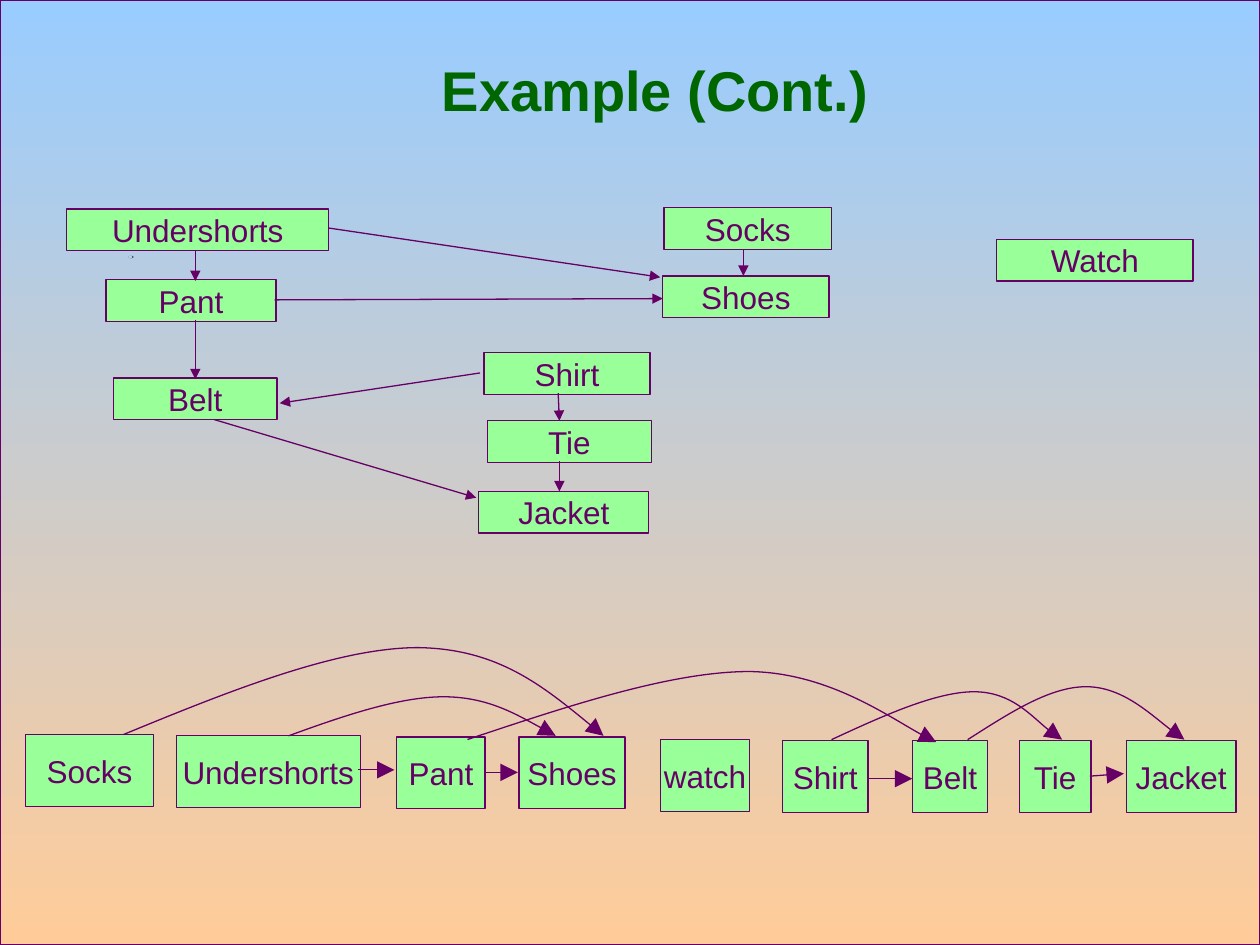
import pptx
import pptx.util
import pptx.dml.color
import pptx.enum.shapes
import pptx.enum.text
import pptx.oxml
import pptx.oxml.ns

Inches = pptx.util.Inches
SHAPES = pptx.enum.shapes.MSO_SHAPE
PURPLE, GREEN = "660066", "99FF99"
BOX_TEXT = {"name": "Arial", "size": pptx.util.Pt(18), "bold": False}
TITLE_TEXT = {"name": "Arial", "size": pptx.util.Pt(32), "bold": True}


def paint(target, color):
    """Give a fill, or the fill of a line, one solid colour."""
    target.solid()
    target.fore_color.rgb = pptx.dml.color.RGBColor.from_string(color)


def write(shape, text, values, color, wrap):
    """Put one centred paragraph into a shape."""
    frame = shape.text_frame
    frame.word_wrap = wrap
    frame.vertical_anchor = pptx.enum.text.MSO_ANCHOR.MIDDLE
    para = frame.paragraphs[0]
    para.alignment = pptx.enum.text.PP_ALIGN.CENTER
    span = para.add_run()
    span.text = text
    for name, value in values.items():
        setattr(span.font, name, value)
    paint(span.font.fill, color)


deck = pptx.Presentation()
deck.slide_width, deck.slide_height = Inches(10), Inches(7.5)
page = deck.slides.add_slide(deck.slide_layouts[6])
shapes = page.shapes

# Background
backdrop = shapes.add_shape(SHAPES.RECTANGLE, 0, 0, deck.slide_width, deck.slide_height)
backdrop.shadow.inherit = False
backdrop.fill.gradient()
backdrop.fill.gradient_angle = 270
for stop, position, color in zip(backdrop.fill.gradient_stops, (0, 1), ("99CCFF", "FFCC99")):
    stop.position = position
    stop.color.rgb = pptx.dml.color.RGBColor.from_string(color)
paint(backdrop.line.fill, PURPLE)
backdrop.line.width = pptx.util.Pt(0.74)

# Small flecks
for left, top, width, height, color in (
    (1.02, 2.03, 0.04, 0.02, "284C70"),
    (1.02, 2.03, 0.03, 0.02, "BFCCD8"),
    (1.63, 1.99, 0.05, 0.03, "BFCCD8"),
):
    fleck = shapes.add_shape(SHAPES.OVAL, *map(Inches, (left, top, width, height)))
    fleck.shadow.inherit = False
    paint(fleck.fill, color)
    fleck.line.fill.background()

# Title
title = shapes.add_textbox(Inches(0.95), Inches(0.25), Inches(8.5), Inches(0.92))
write(title, "Example (Cont.)", TITLE_TEXT, "006600", True)

# Boxes of the graph and of the sorted row: text, left, top, width
graph_boxes = [
    ("Undershorts", 0.53, 1.66, 2.08),
    ("Watch", 7.91, 1.9, 1.56),
    ("Socks", 5.27, 1.65, 1.33),
    ("Jacket", 3.8, 3.9, 1.35),
    ("Tie", 3.87, 3.34, 1.3),
    ("Shirt", 3.84, 2.8, 1.32),
    ("Belt", 0.9, 3, 1.3),
    ("Shoes", 5.26, 2.19, 1.32),
    ("Pant", 0.84, 2.22, 1.35),
]
sorted_boxes = [
    ("Socks", 0.2, 5.83, 1.02),
    ("Undershorts", 1.4, 5.84, 1.46),
    ("Pant", 3.15, 5.85, 0.7),
    ("Shoes", 4.12, 5.85, 0.84),
    ("watch", 5.24, 5.87, 0.71),
    ("Shirt", 6.21, 5.88, 0.68),
    ("Belt", 7.24, 5.88, 0.6),
    ("Tie", 8.09, 5.88, 0.57),
    ("Jacket", 8.94, 5.88, 0.87),
]
for boxes, height in ((graph_boxes, 0.33), (sorted_boxes, 0.57)):
    for text, left, top, width in boxes:
        box = shapes.add_shape(SHAPES.RECTANGLE, *map(Inches, (left, top, width, height)))
        box.shadow.inherit = False
        paint(box.fill, GREEN)
        paint(box.line.fill, PURPLE)
        box.line.width = pptx.util.Pt(0.74)
        write(box, text, BOX_TEXT, PURPLE, False)

# Straight arrows: from x, from y, to x, to y
graph_arrows = [
    (5.9, 1.98, 5.9, 2.19),
    (4.43, 3.12, 4.44, 3.34),
    (4.44, 3.66, 4.44, 3.9),
    (1.55, 1.99, 1.55, 2.23),
    (1.55, 2.54, 1.55, 3.01),
    (3.81, 2.96, 2.22, 3.2),
    (1.7, 3.33, 3.78, 3.95),
    (2.18, 2.38, 5.26, 2.37),
    (2.61, 1.81, 5.24, 2.2),
]
sorted_arrows = [
    (2.84, 6.11, 3.13, 6.11),
    (3.84, 6.13, 4.11, 6.13),
    (6.89, 6.18, 7.24, 6.18),
    (8.65, 6.16, 8.92, 6.14),
]
arrows = []
for ends, head_size in ((graph_arrows, "med"), (sorted_arrows, "lg")):
    for end in ends:
        arrow = shapes.add_connector(
            pptx.enum.shapes.MSO_CONNECTOR.STRAIGHT, *map(Inches, end))
        arrows.append((arrow, head_size))

# Curved arrows: start, then two Bezier segments of three points each
curves = [
    [(2.29, 5.84), (2.73, 5.68), (3.17, 5.53), (3.52, 5.53), (3.88, 5.53), (4.26, 5.76), (4.41, 5.84)],
    [(0.98, 5.83), (1.83, 5.48), (2.68, 5.14), (3.32, 5.14), (3.95, 5.15), (4.37, 5.49), (4.79, 5.84)],
    [(3.71, 5.87), (4.52, 5.6), (5.33, 5.33), (5.95, 5.33), (6.57, 5.34), (7.22, 5.8), (7.43, 5.89)],
    [(6.6, 5.87), (7.01, 5.68), (7.43, 5.49), (7.73, 5.49), (8.03, 5.49), (8.31, 5.81), (8.43, 5.87)],
    [(7.68, 5.87), (8.01, 5.66), (8.33, 5.45), (8.62, 5.45), (8.91, 5.45), (9.27, 5.79), (9.4, 5.87)],
]
for points in curves:
    start, *rest = [(Inches(x), Inches(y)) for x, y in points]
    builder = shapes.build_freeform(*start)
    builder.add_line_segments(rest, close=False)
    curve = builder.convert_to_shape()
    curve.fill.background()
    segments = list(curve.element.iter(pptx.oxml.ns.qn("a:lnTo")))
    outline = segments[0].getparent()
    for first in range(0, len(segments), 3):
        bezier = outline.makeelement(pptx.oxml.ns.qn("a:cubicBezTo"), {})
        outline.append(bezier)
        for segment in segments[first:first + 3]:
            bezier.append(segment[0])
            outline.remove(segment)
    arrows.append((curve, "lg"))

# Line style, arrowhead and no shadow for every arrow
for arrow, head_size in arrows:
    paint(arrow.line.fill, PURPLE)
    arrow.line.width = pptx.util.Pt(0.74)
    properties = arrow.element.spPr
    line = properties.find(pptx.oxml.ns.qn("a:ln"))
    head = {"type": "triangle", "w": head_size, "len": head_size}
    line.append(line.makeelement(pptx.oxml.ns.qn("a:tailEnd"), head))
    properties.append(properties.makeelement(pptx.oxml.ns.qn("a:effectLst"), {}))

deck.save("out.pptx")
